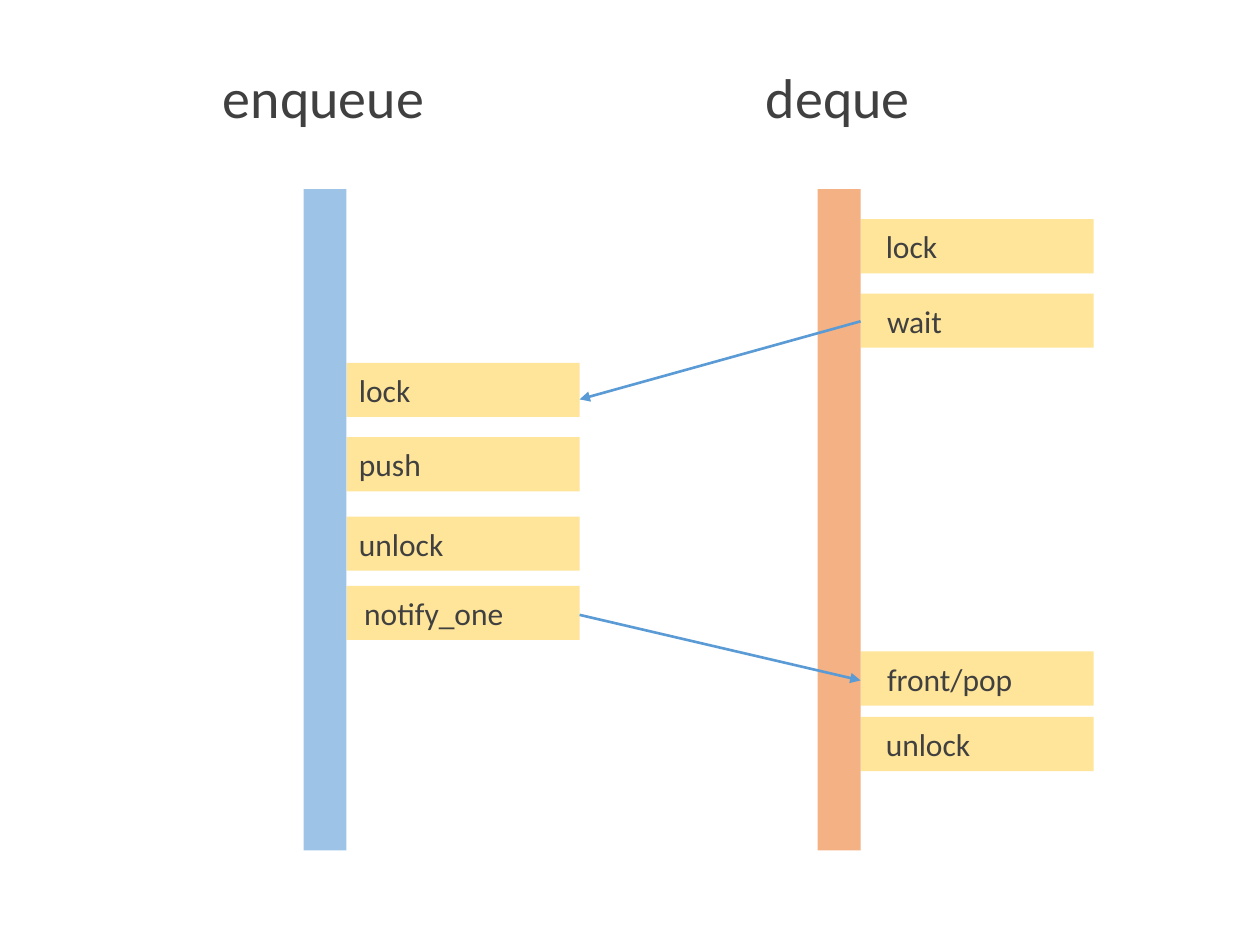
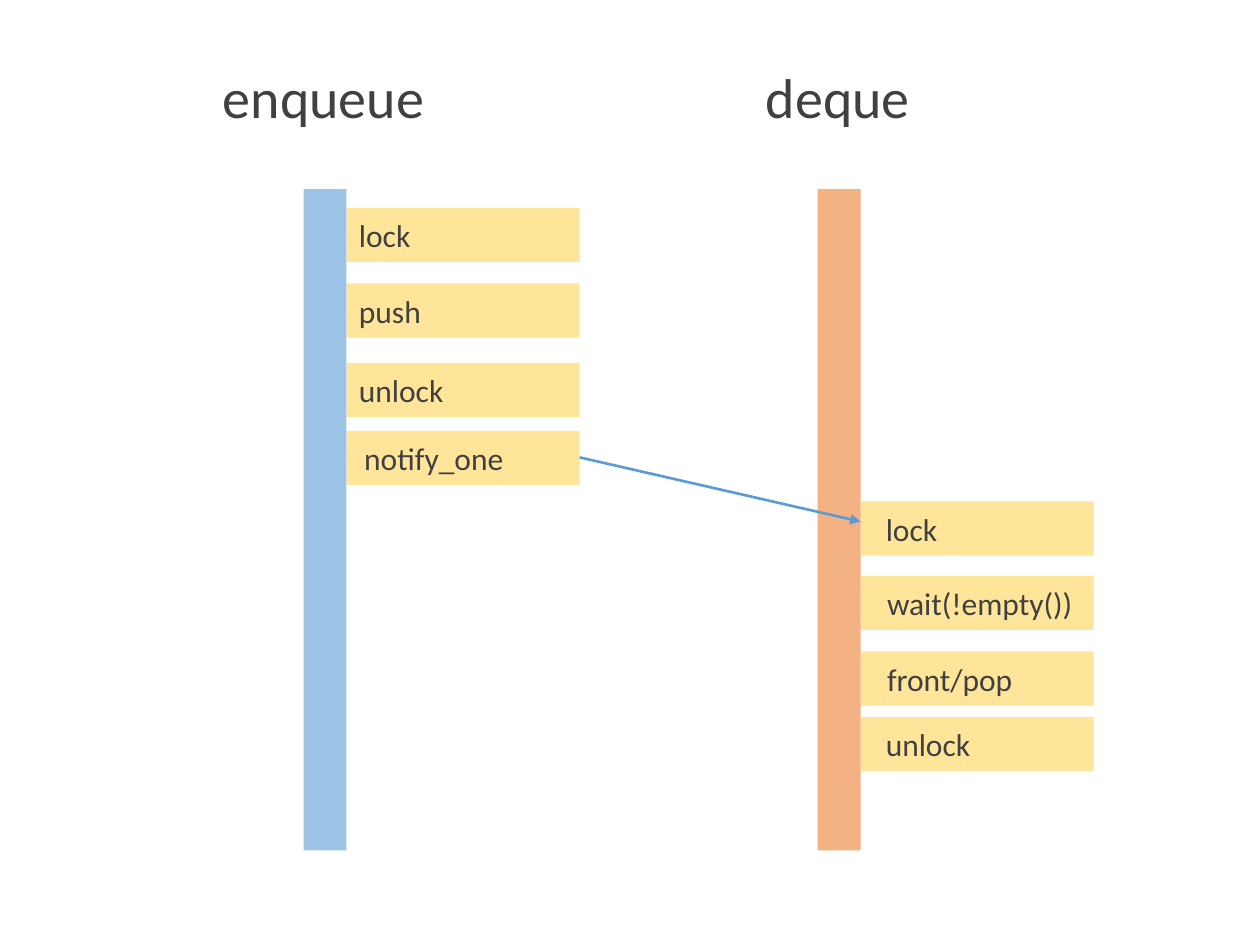
import pptx
import pptx.dml.color
import pptx.enum.shapes
import pptx.enum.text
import pptx.oxml.ns
import pptx.util
from lxml import etree

Inches = pptx.util.Inches
Pt = pptx.util.Pt
qn = pptx.oxml.ns.qn

FONT = "Calibri"
TEXT_COLOR = "404040"
STEP_COLOR = "FFC000"
STEP_OPACITY = 40
ARROW_COLOR = "5B9BD5"

HEADING_TOP, HEADING_HEIGHT = 0.45, 0.64
LANE_TOP, LANE_WIDTH, LANE_HEIGHT = 1.5, 0.34, 5.25
STEP_WIDTH, STEP_HEIGHT = 1.85, 0.43

ENQUEUE = {"heading": "enqueue", "heading_left": 1.67, "heading_width": 1.82,
           "left": 2.41, "color": "9DC3E6"}
DEQUE = {"heading": "deque", "heading_left": 5.98, "heading_width": 1.36,
         "left": 6.49, "color": "F4B183"}

ENQUEUE_EDGE = ENQUEUE["left"] + LANE_WIDTH + STEP_WIDTH
DEQUE_EDGE = DEQUE["left"] + LANE_WIDTH

WAITING_FIRST = {
    "enqueue": [("lock", 2.88, 0.1), ("push", 3.47, 0.1),
                ("unlock", 4.1, 0.1), ("notify_one", 4.65, 0.14)],
    "deque": [("lock", 1.74, 0.2), ("wait", 2.33, 0.21),
              ("front/pop", 5.17, 0.21), ("unlock", 5.69, 0.2)],
    "arrows": [((DEQUE_EDGE, 2.55), (ENQUEUE_EDGE, 3.17)),
               ((ENQUEUE_EDGE, 4.88), (DEQUE_EDGE, 5.4))],
}
NOTIFIED_FIRST = {
    "enqueue": [("lock", 1.65, 0.1), ("push", 2.25, 0.1),
                ("unlock", 2.88, 0.1), ("notify_one", 3.42, 0.14)],
    "deque": [("lock", 3.98, 0.2), ("wait(!empty())", 4.57, 0.21),
              ("front/pop", 5.17, 0.21), ("unlock", 5.69, 0.2)],
    "arrows": [((ENQUEUE_EDGE, 3.63), (DEQUE_EDGE, 4.14))],
}


def set_color(color_format, color):
    color_format.rgb = pptx.dml.color.RGBColor.from_string(color)


def write_text(shape, text, size):
    shape.text_frame.word_wrap = False
    paragraph = shape.text_frame.paragraphs[0]
    paragraph.alignment = pptx.enum.text.PP_ALIGN.LEFT
    run = paragraph.add_run()
    run.text = text
    run.font.name = FONT
    run.font.size = Pt(size)
    set_color(run.font.color, TEXT_COLOR)


def add_rectangle(slide, left, top, width, height, color):
    shape = slide.shapes.add_shape(
        pptx.enum.shapes.MSO_SHAPE.RECTANGLE,
        Inches(left), Inches(top), Inches(width), Inches(height))
    shape.shadow.inherit = False
    shape.fill.solid()
    set_color(shape.fill.fore_color, color)
    shape.line.fill.background()
    return shape


def add_step(slide, left, top, label, indent):
    shape = add_rectangle(slide, left, top, STEP_WIDTH, STEP_HEIGHT, STEP_COLOR)
    color_element = shape.fill._xPr.find(qn("a:solidFill"))[0]
    etree.SubElement(color_element, qn("a:alpha"), val=str(STEP_OPACITY * 1000))
    shape.text_frame.margin_left = Inches(indent)
    shape.text_frame.vertical_anchor = pptx.enum.text.MSO_ANCHOR.MIDDLE
    write_text(shape, label, 18)


def add_lane(slide, lane, steps):
    heading = slide.shapes.add_textbox(
        Inches(lane["heading_left"]), Inches(HEADING_TOP),
        Inches(lane["heading_width"]), Inches(HEADING_HEIGHT))
    write_text(heading, lane["heading"], 32)
    for label, top, indent in steps:
        add_step(slide, lane["left"] + LANE_WIDTH, top, label, indent)
    add_rectangle(slide, lane["left"], LANE_TOP, LANE_WIDTH, LANE_HEIGHT,
                  lane["color"])


def add_arrow(slide, start, end):
    connector = slide.shapes.add_connector(
        pptx.enum.shapes.MSO_CONNECTOR.STRAIGHT,
        *(Inches(length) for length in start + end))
    set_color(connector.line.color, ARROW_COLOR)
    connector.line.width = Pt(1.5)
    etree.SubElement(connector.line._get_or_add_ln(), qn("a:tailEnd"),
                     type="triangle")
    etree.SubElement(connector._element.spPr, qn("a:effectLst"))


def add_sequence_slide(presentation, sequence):
    slide = presentation.slides.add_slide(presentation.slide_layouts[6])
    add_lane(slide, ENQUEUE, sequence["enqueue"])
    add_lane(slide, DEQUE, sequence["deque"])
    for start, end in sequence["arrows"]:
        add_arrow(slide, start, end)


def main():
    presentation = pptx.Presentation()
    presentation.slide_width = Inches(10)
    presentation.slide_height = Inches(7.5)
    for sequence in (WAITING_FIRST, NOTIFIED_FIRST):
        add_sequence_slide(presentation, sequence)
    presentation.save("out.pptx")


if __name__ == "__main__":
    main()
